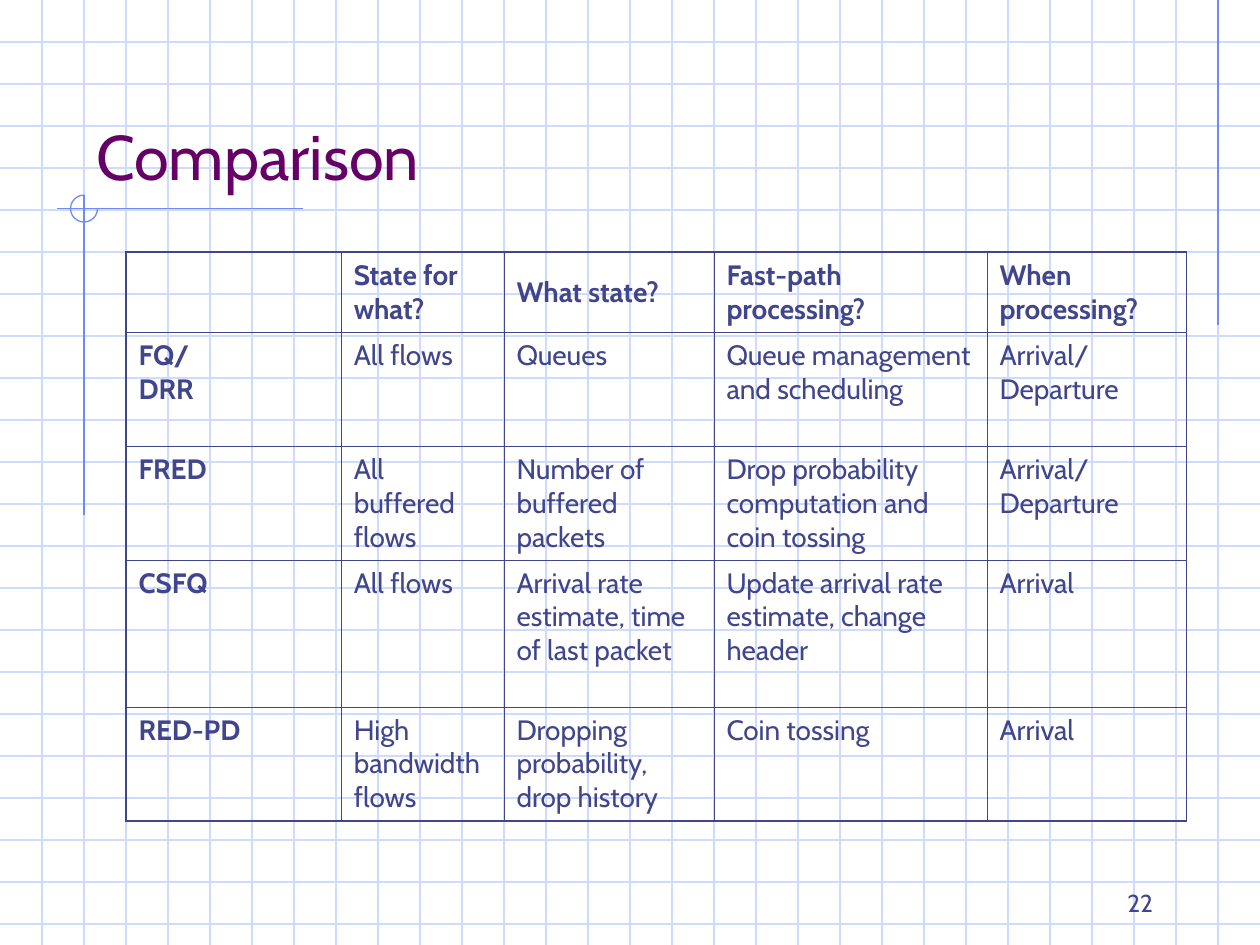
from dataclasses import dataclass

from lxml import etree
from pptx import Presentation
from pptx.dml.color import RGBColor
from pptx.enum.shapes import MSO_CONNECTOR, MSO_SHAPE
from pptx.enum.text import MSO_ANCHOR, PP_ALIGN
from pptx.oxml.ns import qn
from pptx.util import Pt

STRAIGHT = MSO_CONNECTOR.STRAIGHT
ARC = MSO_SHAPE.ARC
TOP, MIDDLE, BOTTOM = MSO_ANCHOR.TOP, MSO_ANCHOR.MIDDLE, MSO_ANCHOR.BOTTOM
LEFT, RIGHT = PP_ALIGN.LEFT, PP_ALIGN.RIGHT


@dataclass(frozen=True)
class Theme:
    """Colours, type sizes and line widths of the slide."""
    font: str = "Cabin"
    paper: str = "FFFFFF"
    grid: str = "CFDBFD"
    accent: str = "6F89F7"
    title: str = "660066"
    ink: str = "40458C"
    title_size: float = 36
    table_size: float = 16
    number_size: float = 14
    rule: float = 0.75
    inner_border: float = 0.45
    outer_border: float = 1.08


THEME = Theme()
WIDTH, HEIGHT = 720, 540
GRID_STEP = 24
COLUMN_WIDTHS = [123, 93, 120, 156, 114]
ROW_HEIGHTS = [46, 65, 65, 84, 65]
ROWS = [
    ["", "State for what?", "What state?", "Fast-path processing?", "When \nprocessing?"],
    ["FQ/\nDRR", "All flows", "Queues", "Queue management and scheduling", "Arrival/\nDeparture"],
    ["FRED", "All \nbuffered flows", "Number of \nbuffered packets",
     "Drop probability computation and coin tossing", "Arrival/\nDeparture"],
    ["CSFQ", "All flows", "Arrival rate estimate, time of last packet",
     "Update arrival rate estimate, change header", "Arrival"],
    ["RED-PD", "High bandwidth flows", "Dropping probability, drop history",
     "Coin tossing", "Arrival"],
]


def add_line(page, start, end, color):
    """Draw a thin straight line between two points."""
    line = page.shapes.add_connector(STRAIGHT, *(Pt(value) for value in (*start, *end)))
    line.line.color.rgb = RGBColor.from_string(color)
    line.line.width = Pt(THEME.rule)
    etree.SubElement(line._element.spPr, qn("a:effectLst"))


def write_text(para, text, size, color, bold=False):
    """Write text into a paragraph, with a line break at each newline."""
    for index, part in enumerate(text.split("\n")):
        if index:
            para.add_line_break()
        span = para.add_run()
        span.text = part
        span.font.name = THEME.font
        span.font.size = Pt(size)
        span.font.bold = bold
        span.font.color.rgb = RGBColor.from_string(color)


def add_label(page, box, text, size, color, align=LEFT):
    """Add a text box whose text stands on its bottom edge."""
    label = page.shapes.add_textbox(*(Pt(value) for value in box))
    frame = label.text_frame
    frame.word_wrap = True
    frame.vertical_anchor = BOTTOM
    frame.paragraphs[0].alignment = align
    write_text(frame.paragraphs[0], text, size, color)


def add_grid(page, box):
    """Cover the box with evenly spaced graph-paper lines."""
    left, top, width, height = box
    for y in range(top + GRID_STEP, top + height, GRID_STEP):
        add_line(page, (left, y), (left + width, y), THEME.grid)
    for x in range(left + GRID_STEP, left + width, GRID_STEP):
        add_line(page, (x, top), (x, top + height), THEME.grid)


def add_corner_mark(page, box):
    """Draw the crossing rules and the open circle around their crossing."""
    left, top, width, height = box
    radius = 7.7
    center_x, center_y = left + 15.5, top + radius
    add_line(page, (left + width, center_y), (left, center_y), THEME.accent)
    add_line(page, (center_x, top), (center_x, top + height), THEME.accent)
    circle = page.shapes.add_shape(
        ARC, Pt(center_x - radius), Pt(top), Pt(2 * radius), Pt(2 * radius))
    circle.adjustments[0] = 0
    circle.adjustments[1] = 162
    circle.shadow.inherit = False
    circle.fill.background()
    circle.line.color.rgb = RGBColor.from_string(THEME.accent)
    circle.line.width = Pt(THEME.rule)


def set_borders(cell, edges):
    """Give a cell its borders from a mapping of side to outer-edge flag."""
    properties = cell._tc.get_or_add_tcPr()
    for index, (side, outer) in enumerate(edges.items()):
        width = THEME.outer_border if outer else THEME.inner_border
        border = etree.Element(qn(f"a:ln{side}"), w=str(int(Pt(width))))
        fill = etree.SubElement(border, qn("a:solidFill"))
        etree.SubElement(fill, qn("a:srgbClr"), val=THEME.ink)
        properties.insert(index, border)


def add_comparison_table(page, box):
    """Add the table that compares the queueing schemes."""
    last_row, last_column = len(ROWS) - 1, len(COLUMN_WIDTHS) - 1
    table = page.shapes.add_table(
        len(ROWS), len(COLUMN_WIDTHS), *(Pt(value) for value in box)).table
    table.first_row = table.horz_banding = False
    for column, width in zip(table.columns, COLUMN_WIDTHS):
        column.width = Pt(width)
    for row, height in zip(table.rows, ROW_HEIGHTS):
        row.height = Pt(height)
    for r, texts in enumerate(ROWS):
        for c, text in enumerate(texts):
            cell = table.cell(r, c)
            cell.fill.background()
            cell.vertical_anchor = TOP if r else MIDDLE if c == 2 else BOTTOM
            if text:
                write_text(cell.text_frame.paragraphs[0], text,
                           THEME.table_size, THEME.ink, bold=r == 0 or c == 0)
            set_borders(cell, {"L": c == 0, "R": c == last_column,
                               "T": r == 0, "B": r == last_row})


def build_slide(page, box):
    """Place every part of the comparison slide in the given box."""
    left, top, width, height = box
    page.background.fill.solid()
    page.background.fill.fore_color.rgb = RGBColor.from_string(THEME.paper)
    add_grid(page, box)
    rule_x = left + width - GRID_STEP
    add_line(page, (rule_x, top), (rule_x, top + 186), THEME.accent)
    add_corner_mark(page, (left + 32.5, top + 111.5, 140.5, 183))
    add_label(page, (left + 48, top + 24, 612, 90), "Comparison",
              THEME.title_size, THEME.title)
    add_comparison_table(
        page, (left + 72, top + 144, sum(COLUMN_WIDTHS), sum(ROW_HEIGHTS)))
    add_label(page, (left + 516, top + 492, 150, 36), "22",
              THEME.number_size, THEME.ink, RIGHT)


def main():
    """Build the deck and save it."""
    deck = Presentation()
    deck.slide_width, deck.slide_height = Pt(WIDTH), Pt(HEIGHT)
    page = deck.slides.add_slide(deck.slide_layouts[6])
    build_slide(page, (0, 0, WIDTH, HEIGHT))
    deck.save("out.pptx")


if __name__ == "__main__":
    main()
